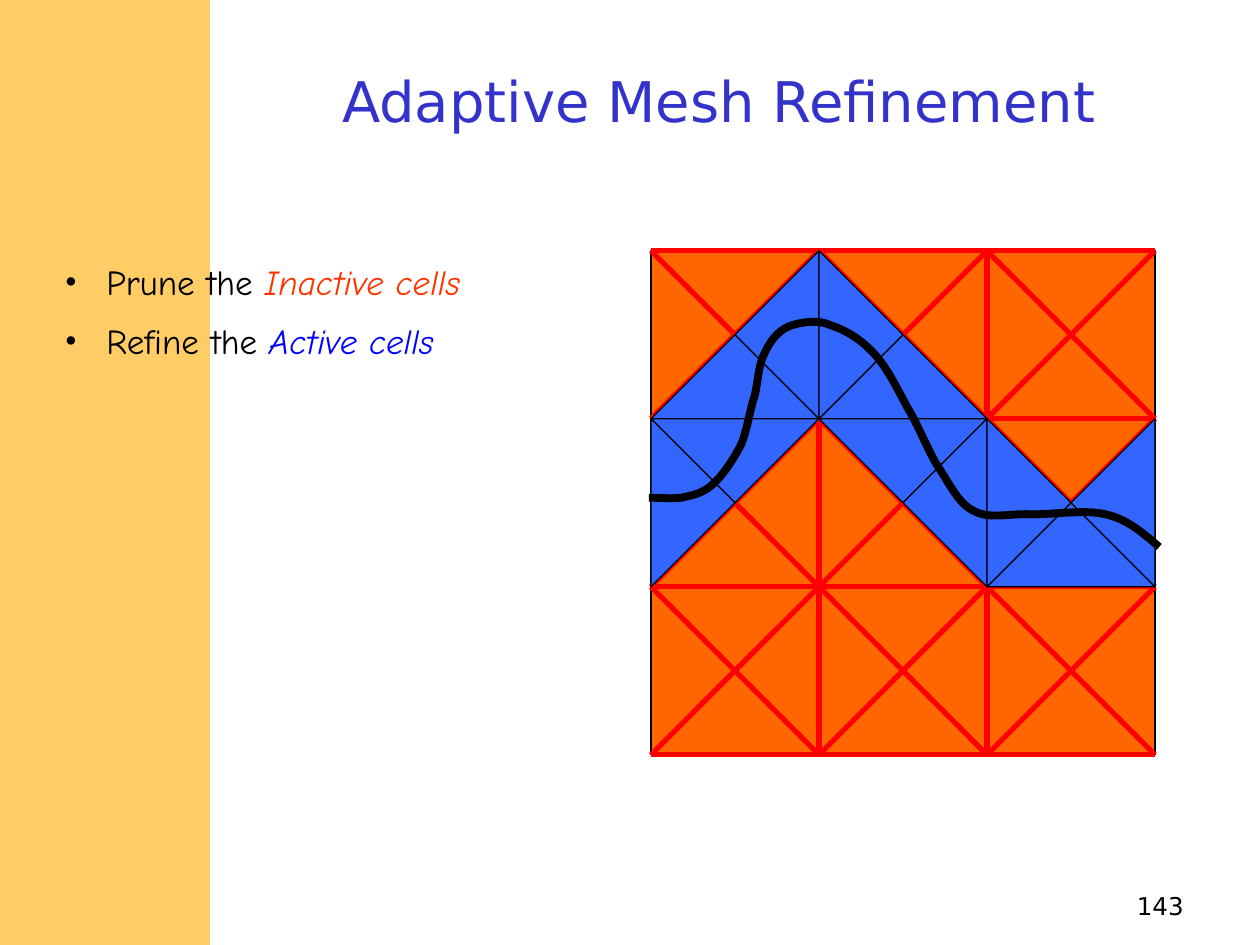
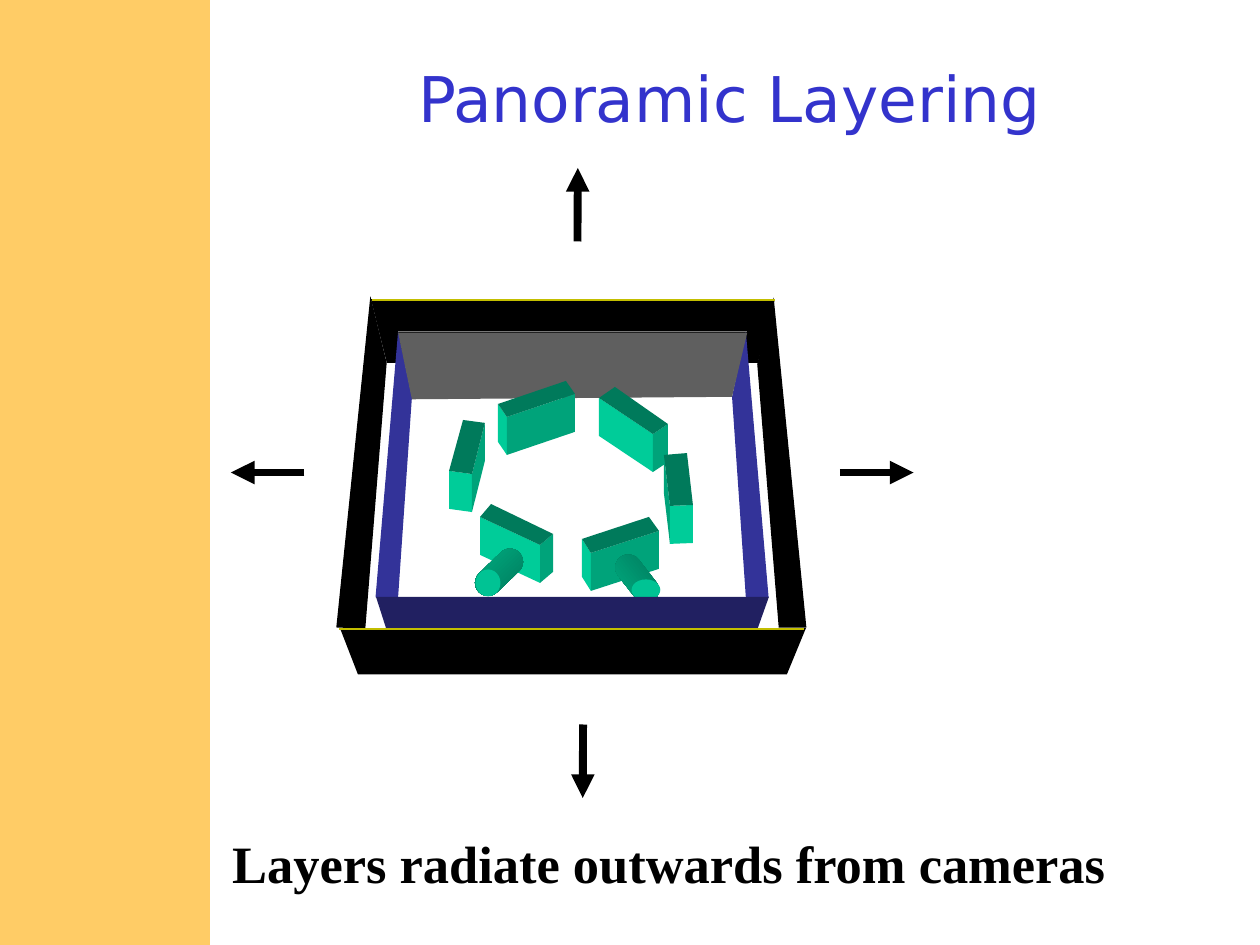
import math

import pptx
import pptx.util
import pptx.dml.color
import pptx.enum.shapes
import pptx.enum.text
from lxml import etree

Pt = pptx.util.Pt
qn = pptx.oxml.ns.qn
SHAPE = pptx.enum.shapes.MSO_SHAPE
ALIGN = pptx.enum.text.PP_ALIGN
ANCHOR = pptx.enum.text.MSO_ANCHOR

COLORS = {
    "band": "FFCC66", "title": "3333CC", "black": "000000",
    "inactive": "FF6600", "inactive_text": "FF3300", "inactive_edge": "FF0000",
    "active": "3366FF", "active_text": "0000FF", "active_edge": "3333FF",
    "wall": "333399", "wall_front": "212061", "wall_back": "5F5F5F",
    "rim": "C3BE00", "back_rim": "777777",
    "camera": "00CC99", "lens_face": "00C394", "lens_side": "00B285",
    "lens_shade": "007558",
}
TITLE_FONT = "DejaVu Sans"

# Mesh: 3 x 3 square cells, each split into four triangles
MESH_X, MESH_Y, CELL, N = 372, 143.3, 96, 3
# Side of a cell: direction from its centre, rotation of the triangle
SIDES = {"top": (0, -1, 180), "right": (1, 0, 270),
         "bottom": (0, 1, 0), "left": (-1, 0, 90)}
ACTIVE = {(0, 0): ("bottom", "right"), (1, 0): ("bottom", "left"),
          (0, 1): ("top", "left"), (1, 1): ("top", "right"),
          (2, 1): ("bottom", "left", "right")}
# Half diagonals (column, row, corner offset) that are not red
PLAIN_HALVES = {(0, 1, 0, 0), (1, 1, 1, 0)}
ACTIVE_HALVES = {(2, 1, 0, 1), (2, 1, 1, 1)}

# Bezier curve: start point, then two handles and an end point per segment
CURVE = [
    (662.4, 312.5),
    (653, 304.6), (644.4, 296.6), (631.4, 293.8),
    (619.2, 290.9), (599, 294.5), (586.8, 293.8),
    (573.8, 293.8), (564.5, 296.6), (555.8, 291.6),
    (547.2, 287.3), (541.4, 274.3), (535, 265),
    (529.2, 254.9), (524.9, 243.4), (518.4, 232.6),
    (512.6, 221.8), (506.2, 208.8), (499, 201.6),
    (491.8, 193.7), (483.1, 188.6), (474.5, 185.8),
    (467.3, 182.2), (456.5, 184.3), (450.7, 186.5),
    (444.2, 189.4), (440, 195.1), (437, 201.6),
    (433.4, 208), (433.4, 216.7), (431.3, 226),
    (428.4, 234.7), (427, 245.5), (423.4, 254.2),
    (419, 262.8), (412.6, 272.2), (406.8, 277.2),
    (401, 282.2), (395.3, 283), (389.5, 284.4),
    (383, 285.1), (377.3, 284.4), (370.8, 284.4),
]

# Walls of the two layers, from back to front
OUTER_BACK = [(212, 170.9), (442.9, 170.9), (433.1, 207.4), (221.1, 207.4)]
OUTER_FRONT = [(194.3, 358.9), (460.6, 358.9), (449.7, 385.4), (204.6, 385.4)]
INNER_FRONT = [(214.9, 341.1), (439.4, 341.1), (433.1, 358.9), (220.6, 358.9)]
WALLS = [
    ("wall", [(227.5, 189.4), (214.6, 341.3), (227.5, 341.3), (235.4, 226.8)]),
    ("wall", [(426.2, 189.4), (439.2, 341.3), (426.2, 341.3), (418.3, 226.8)]),
    ("black", [(211.7, 169.2), (192.2, 358.6), (208.8, 359.3), (221, 207.4)]),
    ("black", [(442.1, 169.9), (460.8, 358.6), (445, 358.6), (432.7, 208.1)]),
    ("wall_back", [(235.4, 228.2), (227.5, 190.1), (427, 190.1), (418.3, 226.8)]),
]
RIMS = [("rim", (193.7, 359.3), (459.4, 359.3)),
        ("rim", (212.4, 171.4), (442.8, 171.4)),
        ("back_rim", (227.5, 189.4), (427, 189.4))]

# Camera bodies: lid corners (left, back, right, near), left and right shade
CAMERA_HEIGHT = 21.7
CAMERAS = [
    ([(284.6, 230.9), (323.4, 217.7), (328.6, 225.1), (289.7, 238.3)], "norm", "darkenLess"),
    ([(342.3, 227.4), (351.4, 221.1), (381.7, 242.3), (373.1, 248)], "norm", "darkenLess"),
    ([(256.6, 269.1), (264.6, 240), (277.1, 241.7), (269.7, 270.9)], "norm", "darkenLess"),
    ([(379.4, 260), (392.6, 258.9), (396, 288.6), (382.9, 289.1)], "darkenLess", "norm"),
    ([(274.3, 295.4), (280.6, 288), (316, 305.1), (308.6, 311.4)], "norm", "darkenLess"),
    ([(332.6, 308), (370.9, 295.4), (376.6, 303.4), (337.7, 316)], "norm", "darkenLess"),
]
# Lenses: centre of the base, centre of the face, radii of the face
LENSES = [((291.4, 321), (278.9, 333.1), (7.1, 7.7)),
          ((359, 324.4), (369.1, 337.1), (8.2, 6))]
LENS_WIDTH = 15
ARROWS = [((480, 270), (522, 270)), ((174, 270), (132, 270)),
          ((333.2, 414), (333, 456)), ((330, 138), (330.2, 96))]


def rgb(name):
    return pptx.dml.color.RGBColor.from_string(COLORS[name])


def paint(sp, fill=None, line=None, width=0.75):
    sp.shadow.inherit = False
    if fill:
        sp.fill.solid()
        sp.fill.fore_color.rgb = rgb(fill)
    else:
        sp.fill.background()
    if line:
        sp.line.color.rgb = rgb(line)
        sp.line.width = Pt(width)
    else:
        sp.line.fill.background()
    return sp


def add_shape(s, kind, x, y, w, h, fill, line=None, rotation=0):
    sp = s.shapes.add_shape(kind, Pt(x), Pt(y), Pt(w), Pt(h))
    sp.rotation = rotation
    return paint(sp, fill, line)


def add_outline(s, contours, closed=True):
    """One freeform made of one or more contours."""
    scaled = [[(Pt(x), Pt(y)) for x, y in points] for points in contours]
    builder = s.shapes.build_freeform(*scaled[0][0])
    for i, (first, *rest) in enumerate(scaled):
        if i:
            builder.move_to(*first)
        builder.add_line_segments(rest, close=closed)
    return builder.convert_to_shape()


def add_curve(s, points, color, width):
    sp = add_outline(s, [points], closed=False)
    path = sp._element.find(".//" + qn("a:path"))
    for i, segment in enumerate(path.findall(qn("a:lnTo"))):
        if i % 3 == 0:
            bezier = etree.SubElement(path, qn("a:cubicBezTo"))
        bezier.append(segment[0])
        path.remove(segment)
    paint(sp, None, color, width)


def add_line(s, start, end, color, width, arrow=False):
    ends = [Pt(v) for v in (*start, *end)]
    cn = s.shapes.add_connector(pptx.enum.shapes.MSO_CONNECTOR.STRAIGHT, *ends)
    cn.line.color.rgb = rgb(color)
    cn.line.width = Pt(width)
    if arrow:
        tail = etree.SubElement(cn.line._get_or_add_ln(), qn("a:tailEnd"))
        tail.set("type", "triangle")
    etree.SubElement(cn._element.spPr, qn("a:effectLst"))


def add_text(s, box, paragraphs, size, font, align=ALIGN.LEFT, bold=False,
             anchor=ANCHOR.TOP, bullet=None, space=0, wrap=True):
    """paragraphs: lists of runs, each (text, colour, italic)."""
    sp = s.shapes.add_textbox(*[Pt(v) for v in box])
    tf = sp.text_frame
    tf.word_wrap = wrap
    tf.vertical_anchor = anchor
    for i, runs in enumerate(paragraphs):
        p = tf.add_paragraph() if i else tf.paragraphs[0]
        p.alignment = align
        if i:
            p.space_before = Pt(space)
        if bullet:
            pPr = p._p.get_or_add_pPr()
            pPr.set("marL", str(Pt(23.7)))
            pPr.set("indent", str(-Pt(23.7)))
            etree.SubElement(pPr, qn("a:buFont")).set("typeface", "Times New Roman")
            etree.SubElement(pPr, qn("a:buChar")).set("char", bullet)
        for text, color, italic in runs:
            r = p.add_run()
            r.text = text
            r.font.name, r.font.size = font, Pt(size)
            r.font.bold, r.font.italic = bold, italic
            r.font.color.rgb = rgb(color)


def add_slide(prs, title, box, size):
    s = prs.slides.add_slide(prs.slide_layouts[6])
    add_shape(s, SHAPE.RECTANGLE, 0, 0, 120, 540, "band")
    add_text(s, box, [[(title, "title", False)]], size, TITLE_FONT,
             ALIGN.CENTER, anchor=ANCHOR.MIDDLE)
    return s


def grid(col, row):
    return MESH_X + col * CELL, MESH_Y + row * CELL


def add_mesh(s):
    cells = [(col, row) for row in range(N) for col in range(N)]
    for c, r in cells:
        add_shape(s, SHAPE.RECTANGLE, *grid(c, r), CELL, CELL, "inactive", "black")
        add_line(s, grid(c + 1, r + 1), grid(c, r), "black", 0.75)
        add_line(s, grid(c + 1, r), grid(c, r + 1), "black", 0.75)
    # Half diagonals from the corners to the centre of each cell
    for c, r in cells:
        for dx, dy in ((0, 0), (1, 0), (0, 1), (1, 1)):
            half = (c, r, dx, dy)
            if half not in PLAIN_HALVES:
                color = "active_edge" if half in ACTIVE_HALVES else "inactive_edge"
                add_line(s, grid(c + dx, r + dy), grid(c + 0.5, r + 0.5), color, 3)
    # Sides shared by inactive cells
    sides = [((c, r), (c + 1, r)) for r in range(N + 1) for c in range(N)]
    sides += [((c, r), (c, r + 1)) for c in range(1, N) for r in range(N)
              if (c, r) != (2, 1)]
    for start, end in sides:
        add_line(s, grid(*start), grid(*end), "inactive_edge", 3)
    # Active triangles
    for (col, row), names in ACTIVE.items():
        x, y = grid(col + 0.5, row + 0.5)
        for name in names:
            dx, dy, rotation = SIDES[name]
            add_shape(s, SHAPE.ISOSCELES_TRIANGLE,
                      x + dx * CELL / 4 - CELL / 2, y + dy * CELL / 4 - CELL / 4,
                      CELL, CELL / 2, "active", "black", rotation)


def add_camera(s, lid, left_shade, right_shade):
    """One freeform whose faces are paths of different shade."""
    left, _, right, near = lid
    faces = [[a, b] + [(x, y + CAMERA_HEIGHT) for x, y in (b, a)]
             for a, b in ((left, near), (near, right))]
    sp = add_outline(s, faces + [lid])
    whole = sp._element.find(".//" + qn("a:path"))
    shades = iter((left_shade, right_shade, "darken"))
    for step in list(whole):
        if step.tag == qn("a:moveTo"):
            face = etree.SubElement(whole.getparent(), qn("a:path"), dict(whole.attrib))
            face.set("fill", next(shades))
        face.append(step)
    whole.getparent().remove(whole)
    paint(sp, "camera")


def add_lens(s, base, face, radii):
    (x0, y0), (x1, y1), (rx, ry) = base, face, radii
    length = math.dist(base, face) + LENS_WIDTH
    barrel = add_shape(s, SHAPE.ROUNDED_RECTANGLE,
                       (x0 + x1 - length) / 2, (y0 + y1 - LENS_WIDTH) / 2,
                       length, LENS_WIDTH, "lens_side",
                       rotation=round(math.degrees(math.atan2(y1 - y0, x1 - x0))))
    barrel.adjustments[0] = 0.5
    barrel.fill.gradient()
    barrel.fill.gradient_angle = 270
    for stop, color in zip(barrel.fill.gradient_stops, ("lens_shade", "lens_side")):
        stop.color.rgb = rgb(color)
    add_shape(s, SHAPE.OVAL, x1 - rx, y1 - ry, 2 * rx, 2 * ry, "lens_face")


def mesh_slide(prs):
    s = add_slide(prs, "Adaptive Mesh Refinement", (120, 30, 582, 54), 32)
    add_text(s, (618.5, 505.5, 65, 19.5), [[("143", "black", False)]],
             14, TITLE_FONT, ALIGN.RIGHT)
    add_text(s, (30, 145.4, 322.5, 175),
             [[("Prune the ", "black", False), ("Inactive cells", "inactive_text", True)],
              [("Refine the ", "black", False), ("Active cells", "active_text", True)]],
             20, "Comic Neue", bullet="•", space=9.6)
    add_mesh(s)
    add_curve(s, CURVE, "black", 4.5)


def layering_slide(prs):
    s = add_slide(prs, "Panoramic Layering", (132, 10.6, 570, 90), 36)
    paint(add_outline(s, [OUTER_BACK, OUTER_FRONT]), "black")
    for color, points in WALLS:
        paint(add_outline(s, [points]), color)
    for camera in CAMERAS:
        add_camera(s, *camera)
    for lens in LENSES:
        add_lens(s, *lens)
    paint(add_outline(s, [INNER_FRONT]), "wall_front")
    for color, start, end in RIMS:
        add_line(s, start, end, color, 1)
    for start, end in ARROWS:
        add_line(s, start, end, "black", 4.5, arrow=True)
    add_text(s, (125.6, 471.5, 515, 43),
             [[("Layers radiate outwards from cameras", "black", False)]],
             30, "Times New Roman", bold=True, anchor=ANCHOR.MIDDLE, wrap=False)


def main():
    prs = pptx.Presentation()
    prs.slide_width, prs.slide_height = Pt(720), Pt(540)
    mesh_slide(prs)
    layering_slide(prs)
    prs.save("out.pptx")


if __name__ == "__main__":
    main()
